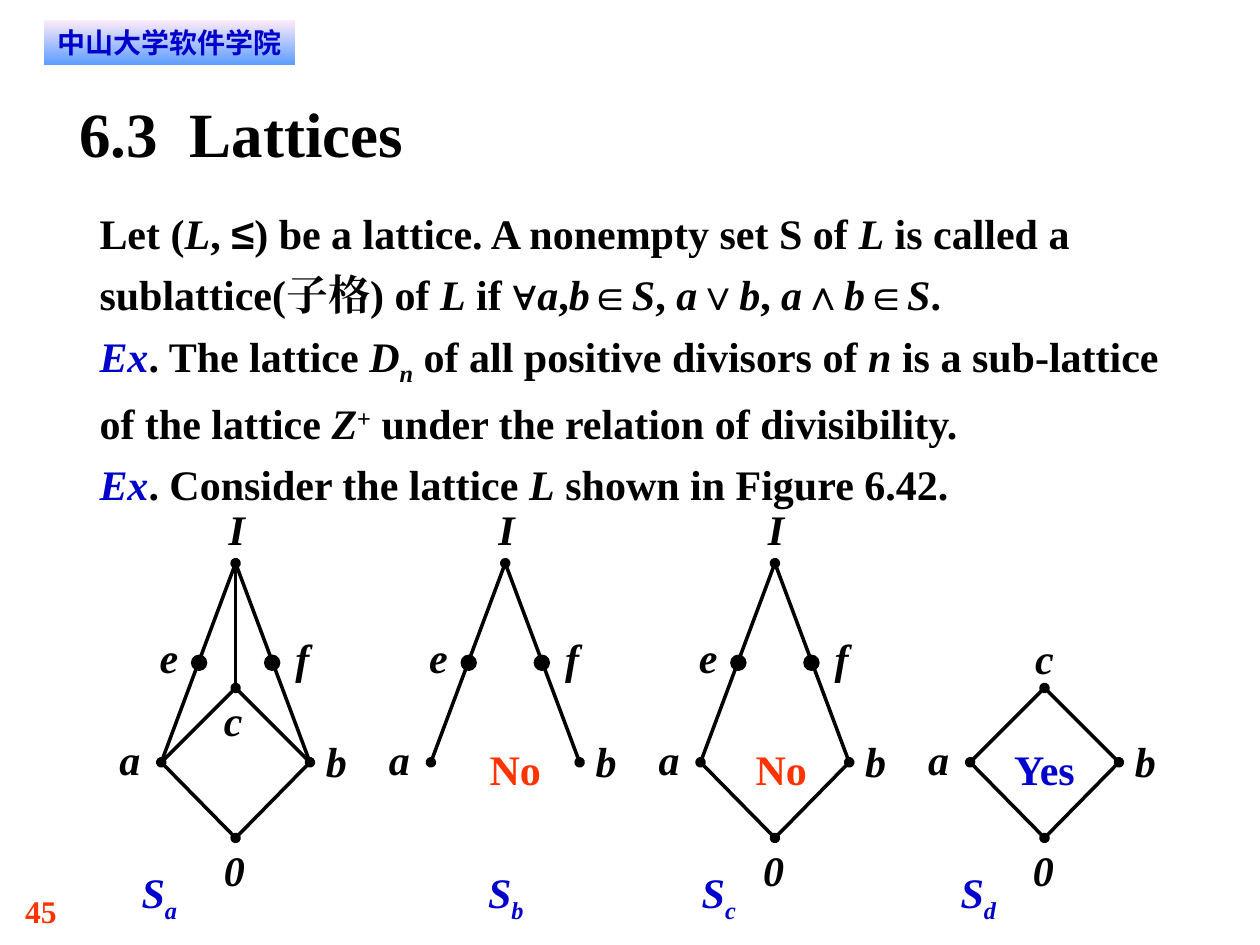
from lxml import etree
from pptx import Presentation
from pptx.dml.color import RGBColor
from pptx.enum import shapes, text
from pptx.oxml import ns
from pptx.util import Inches, Pt

COLOURS = {"black": "000000", "blue": "0000CC", "red": "FF3300",
           "pale": "FFEBFA", "sky": "5E9EFF"}

# Formats for marked pieces of text; an unmarked piece is a plain string.
MARKS = {
    "it": {"italic": True},
    "math": {"name": "Arial"},
    "example": {"italic": True, "colour": "blue"},
    "sub": {"italic": True, "baseline": -25},
    "super": {"baseline": 30},
}

BODY = [
    ["Let (", ("L", "it"), ", ", ("≤", "math"),
     ") be a lattice. A nonempty set S of ", ("L", "it"),
     " is called a sublattice(子格) of ", ("L", "it"), " if ", ("∀", "math"),
     ("a", "it"), ",", ("b", "it"), ("∈", "math"), ("S", "it"), ", ",
     ("a", "it"), ("∨", "math"), ("b", "it"), ", ",
     ("a", "it"), ("∧", "math"), ("b", "it"), ("∈", "math"), ("S", "it"), "."],
    [("Ex", "example"), ". The lattice ", ("D", "it"), ("n", "sub"),
     " of all positive divisors of ", ("n", "it"),
     " is a sub-lattice of the lattice ", ("Z", "it"), ("+", "super"),
     " under the relation of divisibility."],
    [("Ex", "example"), ". Consider the lattice ", ("L", "it"),
     " shown in Figure 6.42."],
]

# Horizontal places are measured from the middle axis of each diagram.
NODES = {"I": (0, 4.47), "a": (-0.59, 6.05), "b": (0.59, 6.05),
         "c": (0, 5.46), "0": (0, 6.65)}
SIDE_DOTS = {"e": (-0.29, 5.26), "f": (0.29, 5.26)}
# Label: centre, top, width
LABELS = {"I": (0.01, 4, 0.13), "a": (-0.84, 5.82, 0.17),
          "b": (0.8, 5.84, 0.17), "c": (-0.02, 5.51, 0.15),
          "0": (-0.01, 6.7, 0.17), "e": (-0.53, 5.01, 0.15),
          "f": (0.53, 5.02, 0.11)}
TOP_C_LABEL = (0, 5.02, 0.15)

# Name, edges, labels, left of the caption
DIAGRAMS = [
    ("a", "0b 0a ac bc Ia Ib Ic", "0aIbcef", 1.1),
    ("b", "Ia Ib", "aIbef", 3.85),
    ("c", "0b 0a Ia Ib", "0aIbef", 5.54),
    ("d", "0b 0a ac bc", "0abc", 7.6),
]
FIRST_AXIS, AXIS_STEP = 1.87, 2.14
VERDICTS = [("No", "red", 3.83), ("No", "red", 5.94), ("Yes", "blue", 8.03)]


def rgb(name):
    return RGBColor.from_string(COLOURS[name])


def add_span(para, words, size=24, name="Times New Roman", colour="black",
             italic=False, baseline=0):
    span = para.add_run()
    span.text = words
    font = span.font
    font.size, font.name, font.bold, font.italic = Pt(size), name, True, italic
    font.color.rgb = rgb(colour)
    properties = font._element
    etree.SubElement(properties, ns.qn("a:ea"), typeface=name)
    if baseline:
        properties.set("baseline", str(baseline * 1000))


def fill_frame(frame, paragraphs, align=text.PP_ALIGN.LEFT, spacing=None,
               wrap=True, anchor=text.MSO_ANCHOR.TOP, margins=(0, 0), **style):
    """Write lists of plain or marked pieces, one list a paragraph."""
    frame.auto_size = text.MSO_AUTO_SIZE.NONE
    frame.word_wrap, frame.vertical_anchor = wrap, anchor
    frame.margin_left = frame.margin_right = Inches(margins[0])
    frame.margin_top = frame.margin_bottom = Inches(margins[1])
    for index, pieces in enumerate(paragraphs):
        para = frame.add_paragraph() if index else frame.paragraphs[0]
        para.alignment = align
        if spacing:
            para.line_spacing = spacing
        for piece in pieces:
            words, mark = (piece, None) if isinstance(piece, str) else piece
            add_span(para, words, **{**style, **MARKS.get(mark, {})})


class SlideWriter:
    def __init__(self, page):
        self.page = page

    def title(self, words, *place):
        box = self.page.shapes.title
        box.left, box.top, box.width, box.height = map(Inches, place)
        fill_frame(box.text_frame, [[words]], size=36,
                   anchor=text.MSO_ANCHOR.MIDDLE)

    def text(self, paragraphs, *place, parent=None, **style):
        target = (parent or self.page).shapes
        box = target.add_textbox(*map(Inches, place))
        fill_frame(box.text_frame, paragraphs, **style)

    def banner(self, words, *place):
        box = self.page.shapes.add_shape(shapes.MSO_SHAPE.RECTANGLE,
                                         *map(Inches, place))
        box.shadow.inherit = False
        box.line.fill.background()
        box.fill.gradient()
        box.fill.gradient_angle = 270
        for stop, colour in zip(box.fill.gradient_stops, ("pale", "sky")):
            stop.color.rgb = rgb(colour)
        fill_frame(box.text_frame, [[words]], size=16, name="DejaVu Sans",
                   colour="blue", align=text.PP_ALIGN.CENTER,
                   margins=(0.08, 0.04))

    def dot(self, parent, x, y, size=0.12):
        dot = parent.shapes.add_shape(
            shapes.MSO_SHAPE.OVAL, Inches(x - size / 2), Inches(y - size / 2),
            Inches(size), Inches(size))
        dot.shadow.inherit = False
        dot.fill.solid()
        dot.fill.fore_color.rgb = dot.line.color.rgb = rgb("black")
        dot.line.width = Pt(0.75)

    def edge(self, parent, start, end, ovals):
        """Draw a line; ovals names its dotted ends, headEnd or tailEnd."""
        edge = parent.shapes.add_connector(
            shapes.MSO_CONNECTOR.STRAIGHT, *map(Inches, (*start, *end)))
        edge.line.color.rgb = rgb("black")
        edge.line.width = Pt(2)
        for tag in ovals:
            etree.SubElement(edge.line._get_or_add_ln(), ns.qn("a:" + tag),
                             type="oval")
        etree.SubElement(edge._element.spPr, ns.qn("a:effectLst"))

    def diagram(self, axis, edges, labels):
        group = self.page.shapes.add_group_shape()
        dotted = set()
        for pair in edges.split():
            start, end = [(axis + NODES[n][0], NODES[n][1]) for n in pair]
            ovals = [tag for node, tag in zip(pair, ("headEnd", "tailEnd"))
                     if node not in dotted]
            dotted.update(pair)
            self.edge(group, start, end, ovals)
        for label in labels:
            centre, top, width = LABELS[label]
            if label == "c" and "I" not in labels:
                centre, top, width = TOP_C_LABEL
            self.text([[label]], axis + centre - width / 2, top, width, 0.4,
                      parent=group, italic=True, wrap=False,
                      align=text.PP_ALIGN.CENTER)
            if label in SIDE_DOTS:
                x, y = SIDE_DOTS[label]
                self.dot(group, axis + x, y)


def main():
    deck = Presentation()
    deck.slide_width, deck.slide_height = Inches(10), Inches(7.5)
    writer = SlideWriter(deck.slides.add_slide(deck.slide_layouts[5]))

    writer.text([["45"]], 0.2, 7.08, 0.75, 0.3, size=18, colour="red")
    writer.banner("中山大学软件学院", 0.35, 0.16, 1.99, 0.35)
    writer.title("6.3  Lattices", 0.63, 0.75, 8.75, 0.6)
    writer.text(BODY, 0.79, 1.57, 8.76, 2.47, spacing=1.2)

    for index, (name, edges, labels, left) in enumerate(DIAGRAMS):
        writer.diagram(FIRST_AXIS + index * AXIS_STEP, edges, labels)
        writer.text([[("S", "it"), (name, "sub")]], left, 6.88, 0.33, 0.46,
                    colour="blue", align=text.PP_ALIGN.CENTER)
    for words, colour, left in VERDICTS:
        writer.text([[words]], left, 5.9, 0.52, 0.4, colour=colour,
                    align=text.PP_ALIGN.CENTER)
    deck.save("out.pptx")


if __name__ == "__main__":
    main()
